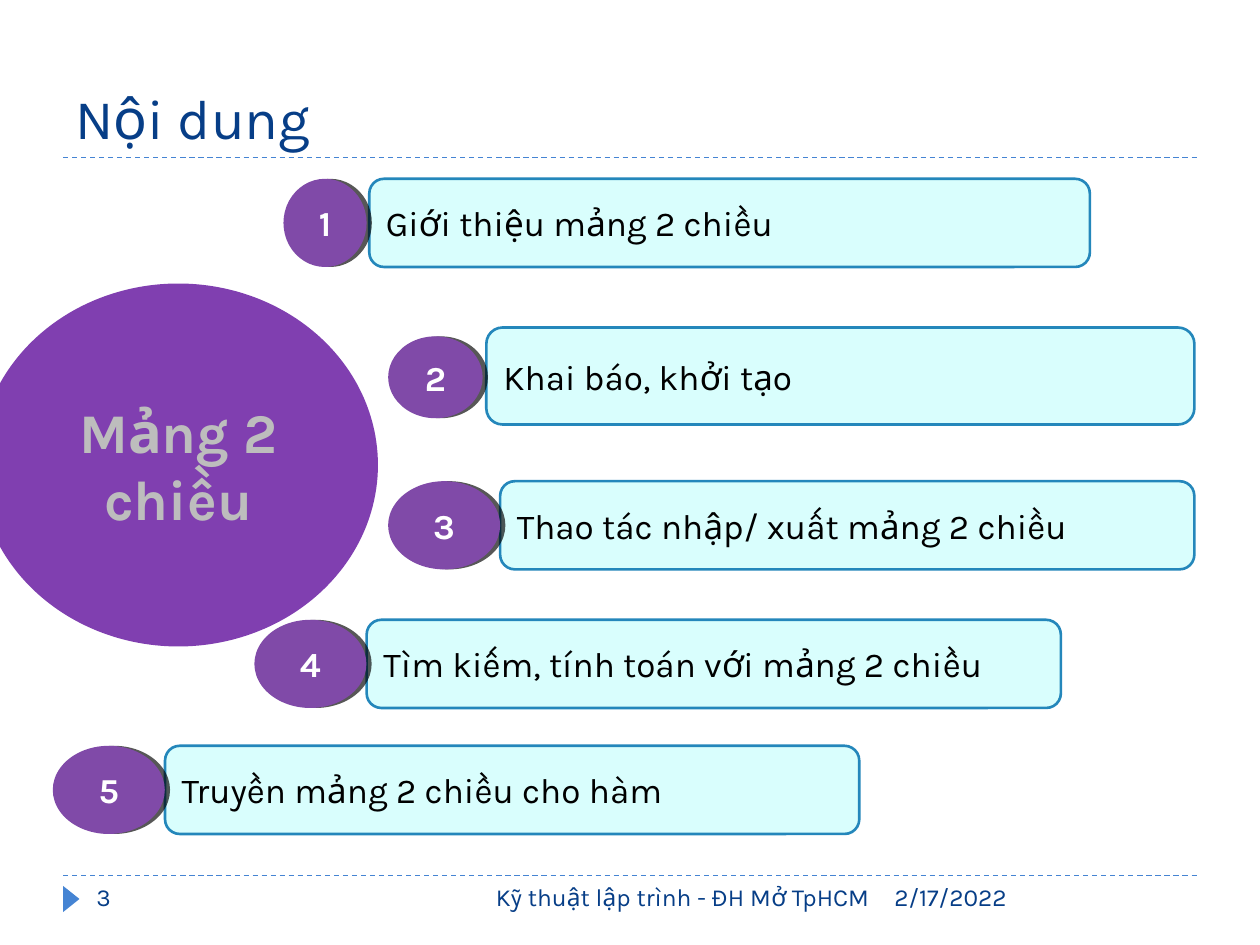
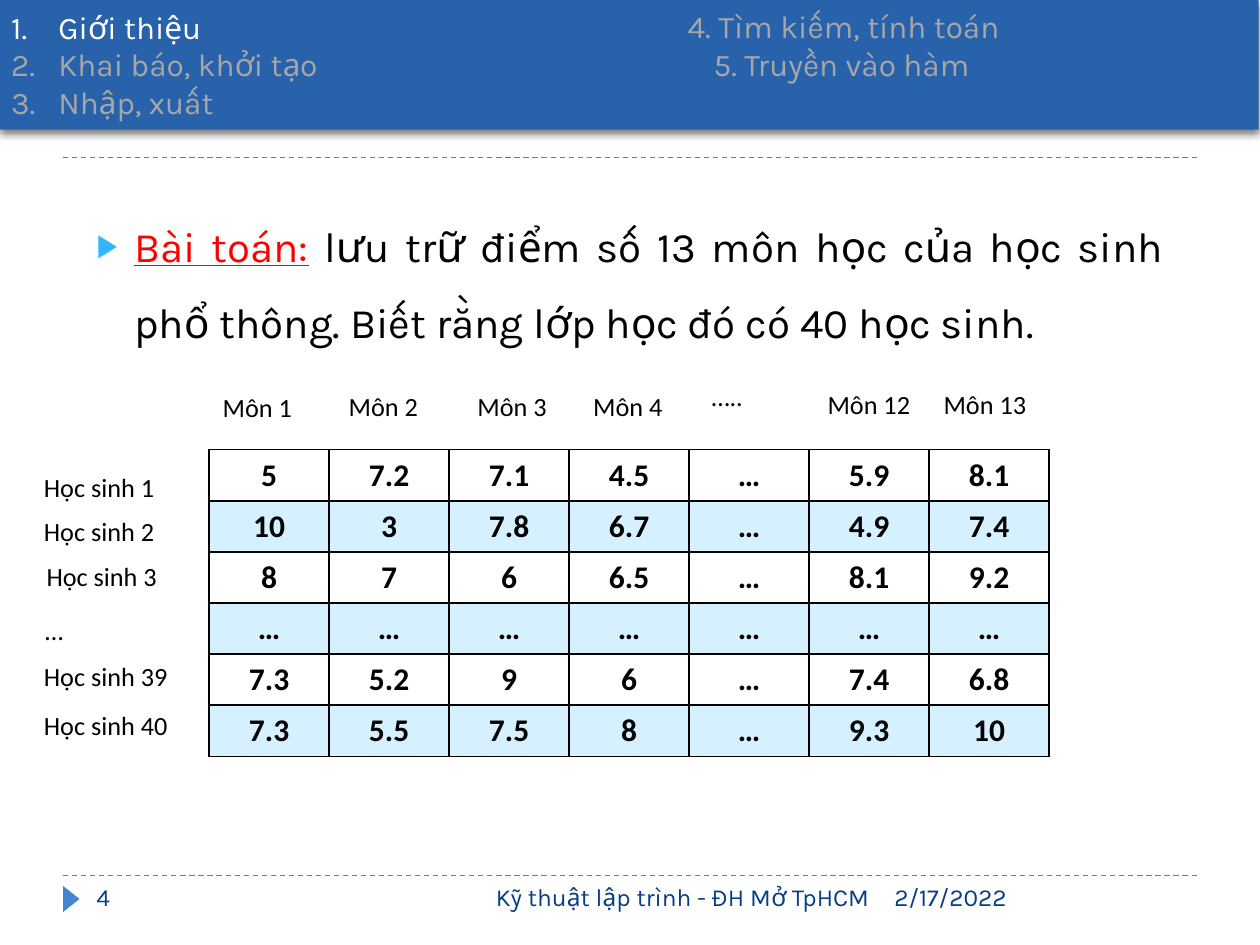
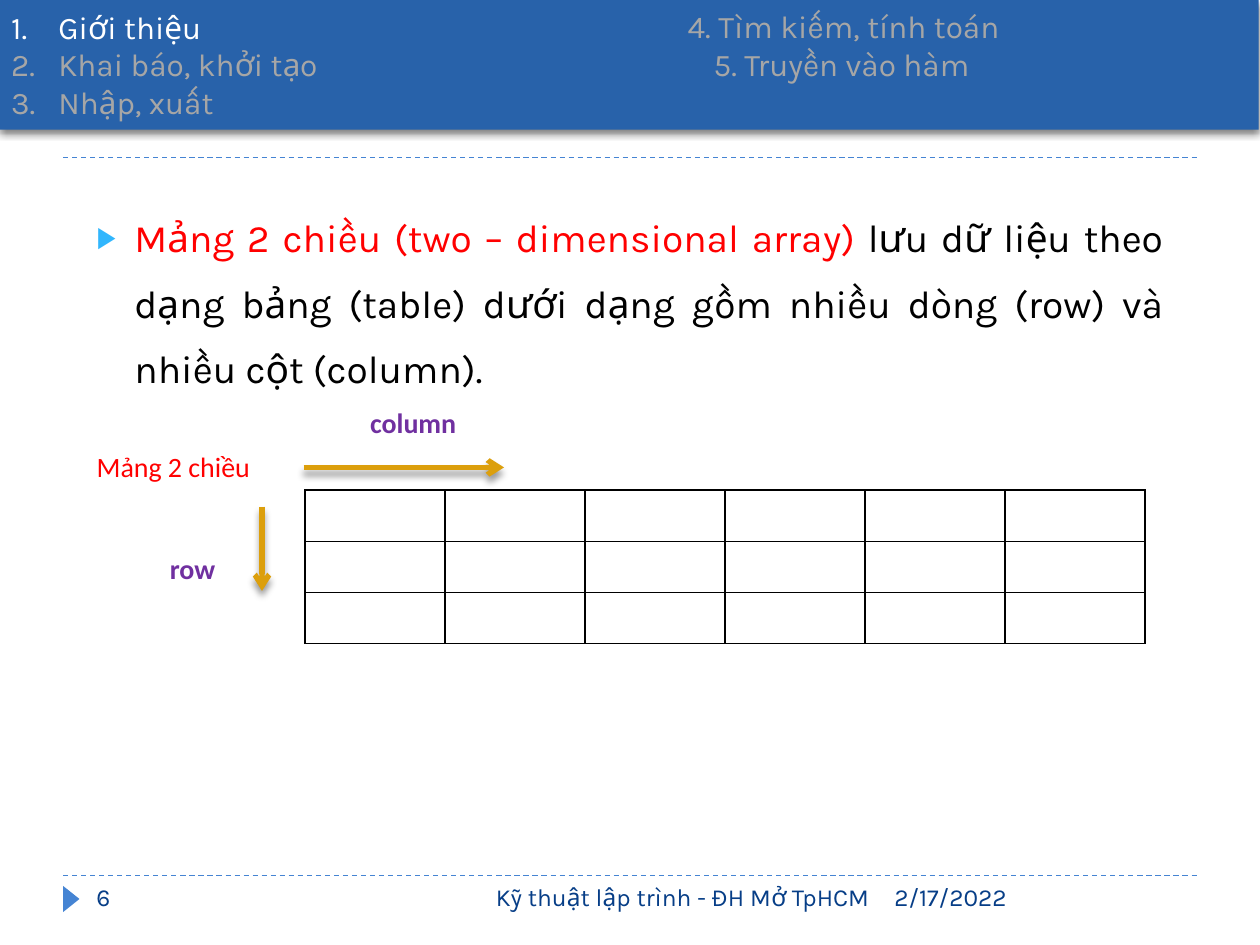
from dataclasses import dataclass

from lxml import etree
from pptx import Presentation
from pptx.dml.color import RGBColor
from pptx.enum import dml, shapes, text
from pptx.oxml import ns
from pptx.util import Pt

NAVY = RGBColor(0x07, 0x3E, 0x87)
BLUE = RGBColor(0x45, 0x84, 0xD3)
BAND_BLUE = RGBColor(0x28, 0x62, 0xAA)
SKY = RGBColor(0x31, 0xB6, 0xFD)
PALE_CYAN = RGBColor(0xC8, 0xFE, 0xFD)
EDGE_BLUE = RGBColor(0x24, 0x87, 0xBB)
TOPIC_PURPLE = RGBColor(0x80, 0x3F, 0xB0)
BADGE_PURPLE = RGBColor(0x80, 0x4A, 0xA8)
LABEL_PURPLE = RGBColor(0x70, 0x30, 0xA0)
GOLD = RGBColor(0xDC, 0x9F, 0x0C)
RED = RGBColor(0xFF, 0x00, 0x00)
SILVER = RGBColor(0xBD, 0xBD, 0xBD)
GREY = RGBColor(0xA6, 0xA6, 0xA6)
WHITE = RGBColor(0xFF, 0xFF, 0xFF)
BLACK = RGBColor(0x00, 0x00, 0x00)

KARLA = "Karla"
CALIBRI = "Calibri"
LEFT, CENTER, RIGHT = text.PP_ALIGN.LEFT, text.PP_ALIGN.CENTER, text.PP_ALIGN.RIGHT
MIDDLE = text.MSO_ANCHOR.MIDDLE
SHAPE = shapes.MSO_SHAPE
ROW_HEIGHT = 29.2
LABEL_HEIGHT = 25.2

FOOTER_TEXT = "Kỹ thuật lập trình - ĐH Mở TpHCM"
FOOTER_DATE = "2/17/2022"
SECTIONS = ["Giới thiệu", "Khai báo, khởi tạo", "Nhập, xuất"]
LATER_SECTIONS = ["4. Tìm kiếm, tính toán", "5. Truyền vào hàm"]


@dataclass
class Box:
    left: float
    top: float
    width: float
    height: float

    def lengths(self):
        return Pt(self.left), Pt(self.top), Pt(self.width), Pt(self.height)

    def inside(self, left, top, width, height):
        return Box(self.left + left, self.top + top, width, height)


PAGE = Box(0, 0, 720, 540)


def add_xml(parent, tag, **attributes):
    names = {name: str(value) for name, value in attributes.items()}
    return etree.SubElement(parent, ns.qn(tag), names)


def set_transparency(properties, opacity):
    color = properties.find(ns.qn("a:solidFill"))[0]
    add_xml(color, "a:alpha", val=opacity * 1000)


def set_shadow(shape, opacity, blur, distance, degrees):
    properties = shape._element.spPr
    effects = properties.find(ns.qn("a:effectLst"))
    if effects is None:
        effects = add_xml(properties, "a:effectLst")
    shadow = add_xml(effects, "a:outerShdw", blurRad=Pt(blur), dist=Pt(distance),
                     dir=degrees * 60000, algn="ctr", rotWithShape=0)
    color = add_xml(shadow, "a:srgbClr", val="000000")
    add_xml(color, "a:alpha", val=opacity * 1000)


def set_bullet(paragraph, indent, tag, color=None, size=None, **attributes):
    properties = paragraph._p.get_or_add_pPr()
    properties.set("marL", str(Pt(indent)))
    properties.set("indent", str(-Pt(indent)))
    if color is not None:
        add_xml(add_xml(properties, "a:buClr"), "a:srgbClr", val=color)
    if size is not None:
        add_xml(properties, "a:buSzPct", val=size * 1000)
    add_xml(properties, tag, **attributes)


def format_runs(paragraph, size, color, name=KARLA, bold=False, align=LEFT):
    paragraph.alignment = align
    for run in paragraph.runs:
        run.font.size = Pt(size)
        run.font.name = name
        run.font.bold = bold
        run.font.color.rgb = color


def add_label(slide, box, words, size, color, **style):
    label = slide.shapes.add_textbox(*box.lengths())
    label.text_frame.word_wrap = True
    label.text_frame.text = words
    for paragraph in label.text_frame.paragraphs:
        format_runs(paragraph, size, color, **style)
    return label


def add_filled(parent, kind, box, fill, edge=None):
    shape = parent.shapes.add_shape(kind, *box.lengths())
    shape.shadow.inherit = False
    shape.fill.solid()
    shape.fill.fore_color.rgb = fill
    if edge is None:
        shape.line.fill.background()
    else:
        shape.line.color.rgb = edge
        shape.line.width = Pt(1.5)
    shape.text_frame.vertical_anchor = MIDDLE
    return shape


def add_line(slide, start, end, color, width):
    line = slide.shapes.add_connector(
        shapes.MSO_CONNECTOR.STRAIGHT, *[Pt(value) for value in start + end])
    line.line.color.rgb = color
    line.line.width = Pt(width)
    add_xml(line._element.spPr, "a:effectLst")
    return line


def add_arrow(slide, start, end):
    arrow = add_line(slide, start, end, GOLD, 3)
    add_xml(arrow.line._get_or_add_ln(), "a:tailEnd", type="arrow")
    set_shadow(arrow, 40, 4, 3.4, 90)


def place(shape, box):
    shape.left, shape.top, shape.width, shape.height = box.lengths()


def add_frame(slide, box, number):
    for top in (90, 500.4):
        y = box.top + top
        rule = add_line(slide, (box.left + 36, y), (box.left + 684, y), BLUE, 0.75)
        rule.line.dash_style = dml.MSO_LINE.DASH
    marker = add_filled(slide, SHAPE.ISOSCELES_TRIANGLE,
                        box.inside(33.2, 509, 15, 9.4), BLUE)
    marker.rotation = 90
    for left, width, words, align in (
            (504, 180, FOOTER_DATE, LEFT),
            (186, 318, FOOTER_TEXT, RIGHT),
            (48, 156, str(number), LEFT)):
        add_label(slide, box.inside(left, 500.4, width, 28.8), words, 14, NAVY, align=align)


def add_title(slide, box, words):
    title = slide.shapes.title
    place(title, box)
    title.text_frame.text = words
    title.text_frame.vertical_anchor = text.MSO_ANCHOR.BOTTOM
    format_runs(title.text_frame.paragraphs[0], 32, NAVY)


def add_topic(slide, box, words):
    topic = add_filled(slide, SHAPE.OVAL, box, TOPIC_PURPLE)
    topic.text_frame.text = words
    format_runs(topic.text_frame.paragraphs[0], 32, SILVER, bold=True, align=CENTER)


def add_agenda_item(slide, box, number, words, badge_box):
    group = slide.shapes.add_group_shape()
    panel = add_filled(group, SHAPE.ROUNDED_RECTANGLE, box, PALE_CYAN, EDGE_BLUE)
    set_transparency(panel._element.spPr, 69)
    panel.text_frame.text = words
    format_runs(panel.text_frame.paragraphs[0], 20, BLACK)
    badge = add_filled(group, SHAPE.OVAL, badge_box, BADGE_PURPLE)
    set_shadow(badge, 65, 0, 3, 0)
    badge.text_frame.text = str(number)
    format_runs(badge.text_frame.paragraphs[0], 20, WHITE, bold=True, align=CENTER)


def add_section_band(slide, box):
    band = add_filled(slide, SHAPE.RECTANGLE, box, BAND_BLUE)
    set_shadow(band, 50, 4, 2, 90)
    band.text_frame.text = "\n".join(SECTIONS)
    for index, paragraph in enumerate(band.text_frame.paragraphs):
        format_runs(paragraph, 18, GREY if index else WHITE)
        set_bullet(paragraph, 27, "a:buAutoNum", type="arabicPeriod")
    later = add_label(slide, box.inside(386.6, 1.4, 280, 54), "\n".join(LATER_SECTIONS), 18, GREY)
    second = later.text_frame.paragraphs[1]
    second._p.get_or_add_pPr().set("marL", str(Pt(14.8)))


def add_statement(slide, box, pieces, size, spacing):
    body = slide.placeholders[1]
    place(body, box)
    body.text_frame.auto_size = text.MSO_AUTO_SIZE.NONE
    paragraph = body.text_frame.paragraphs[0]
    for words, color, underline in pieces:
        run = paragraph.add_run()
        run.text = words
        run.font.size = Pt(size)
        run.font.name = KARLA
        run.font.color.rgb = color
        run.font.underline = underline
    paragraph.alignment = text.PP_ALIGN.JUSTIFY
    paragraph.line_spacing = spacing
    paragraph.space_before = Pt(6)
    set_bullet(paragraph, 21.6, "a:buChar", color=SKY, size=76, char="▶")


def add_borders(cell):
    properties = cell._tc.get_or_add_tcPr()
    for index, side in enumerate(("a:lnL", "a:lnR", "a:lnT", "a:lnB")):
        border = add_xml(properties, side, w=Pt(1))
        add_xml(add_xml(border, "a:solidFill"), "a:srgbClr", val=BLACK)
        properties.insert(index, border)


def add_grid(slide, box, rows, banded=False):
    table = slide.shapes.add_table(len(rows), len(rows[0]), *box.lengths()).table
    table.first_row = False
    table.horz_banding = False
    for column in table.columns:
        column.width = Pt(box.width / len(rows[0]))
    for row_index, values in enumerate(rows):
        table.rows[row_index].height = Pt(ROW_HEIGHT)
        for column_index, value in enumerate(values):
            cell = table.cell(row_index, column_index)
            cell.text = value
            format_runs(cell.text_frame.paragraphs[0], 18, BLACK, CALIBRI, True, CENTER)
            if banded and row_index % 2:
                cell.fill.solid()
                cell.fill.fore_color.rgb = SKY
                set_transparency(cell._tc.tcPr, 20)
            else:
                cell.fill.background()
            add_borders(cell)


def add_score_labels(slide, box):
    subjects = [("Môn 1", 0.7, -36.7), ("Môn 2", 72.7, -37.4), ("Môn 3", 146.2, -37.4),
                ("Môn 4", 212.4, -37.4), ("…..", 280, -43.2),
                ("Môn 12", 346.3, -38.9), ("Môn 13", 412.6, -38.9)]
    students = [("Học sinh 1", -101.5, 8.6), ("Học sinh 2", -101.5, 33.8),
                ("Học sinh 3", -100, 59.8), ("…", -100.8, 90.7),
                ("Học sinh 39", -101.5, 116.6), ("Học sinh 40", -101.5, 144.7)]
    for labels, width in ((subjects, 66.2), (students, 102.2)):
        for words, left, top in labels:
            add_label(slide, box.inside(left, top, width, LABEL_HEIGHT),
                      words, 15, BLACK, name=CALIBRI)


def add_direction_labels(slide, box):
    for words, left, top, width, color, bold, align in (
            ("Mảng 2 chiều", -126, -26.6, 125.3, RED, False, LEFT),
            ("column", -0.7, -51.8, 125.3, LABEL_PURPLE, True, CENTER),
            ("row", -84.2, 31.7, 59.8, LABEL_PURPLE, True, LEFT)):
        add_label(slide, box.inside(left, top, width, 26.6), words, 16, color,
                  name=CALIBRI, bold=bold, align=align)
    x, y = box.left, box.top
    add_arrow(slide, (x - 0.7, y - 13), (x + 113.8, y - 13))
    add_arrow(slide, (x - 24.5, y + 9.4), (x - 24.5, y + 57.6))


def build_agenda(presentation):
    slide = presentation.slides.add_slide(presentation.slide_layouts[5])
    add_frame(slide, PAGE, 3)
    add_title(slide, Box(36, 12.2, 648, 77.8), "Nội dung")
    add_topic(slide, Box(-12.2, 162, 228.2, 207.4), "Mảng 2 chiều")
    items = [
        ("Giới thiệu mảng 2 chiều", Box(211, 102.2, 411.8, 50.4), Box(162, 102.2, 47.5, 50.4)),
        ("Khai báo, khởi tạo", Box(277.9, 187.2, 404.6, 55.4), Box(221.8, 192.2, 54, 46.8)),
        ("Thao tác nhập/ xuất mảng 2 chiều",
         Box(285.8, 275, 396.7, 50.4), Box(221.8, 275, 64, 50.4)),
        ("Tìm kiếm, tính toán với mảng 2 chiều",
         Box(209.5, 354.2, 396.7, 50.4), Box(145.4, 354.2, 64, 50.4)),
        ("Truyền mảng 2 chiều cho hàm",
         Box(94.3, 426.2, 396.7, 50.4), Box(30.2, 426.2, 64, 50.4)),
    ]
    for number, (words, panel_box, badge_box) in enumerate(items, 1):
        add_agenda_item(slide, panel_box, number, words, badge_box)


def add_content_slide(presentation, number, pieces, height, size, spacing):
    slide = presentation.slides.add_slide(presentation.slide_layouts[1])
    title = slide.shapes.title._element
    title.getparent().remove(title)
    add_frame(slide, PAGE, number)
    add_statement(slide, Box(48, 108, 624, height), pieces, size, spacing)
    add_section_band(slide, Box(-0.7, -0.7, 720, 74.9))
    return slide


def build_problem(presentation):
    pieces = [("Bài toán:", RED, True), (" ", RED, False),
              ("lưu trữ điểm số 13 môn học của học sinh phổ thông. "
               "Biết rằng lớp học đó có 40 học sinh.", BLACK, False)]
    slide = add_content_slide(presentation, 4, pieces, 102, 24, 1.5)
    scores = [line.split() for line in (
        "5 7.2 7.1 4.5 … 5.9 8.1",
        "10 3 7.8 6.7 … 4.9 7.4",
        "8 7 6 6.5 … 8.1 9.2",
        "… … … … … … …",
        "7.3 5.2 9 6 … 7.4 6.8",
        "7.3 5.5 7.5 8 … 9.3 10")]
    box = Box(119.5, 257, 480, ROW_HEIGHT * len(scores))
    add_grid(slide, box, scores, banded=True)
    add_score_labels(slide, box)


def build_definition(presentation):
    pieces = [("Mảng 2 chiều (two – dimensional array) ", RED, False),
              ("lưu dữ liệu theo dạng bảng (table) dưới dạng gồm nhiều dòng (row) "
               "và nhiều cột (column).", BLACK, False)]
    slide = add_content_slide(presentation, 6, pieces, 120, 22.2, 1.4)
    rows = [[""] * 6] * 3
    box = Box(174.2, 280.1, 480, ROW_HEIGHT * len(rows))
    add_grid(slide, box, rows)
    add_direction_labels(slide, box)


def main():
    presentation = Presentation()
    presentation.slide_width = Pt(PAGE.width)
    presentation.slide_height = Pt(PAGE.height)
    build_agenda(presentation)
    build_problem(presentation)
    build_definition(presentation)
    presentation.save("out.pptx")


if __name__ == "__main__":
    main()
